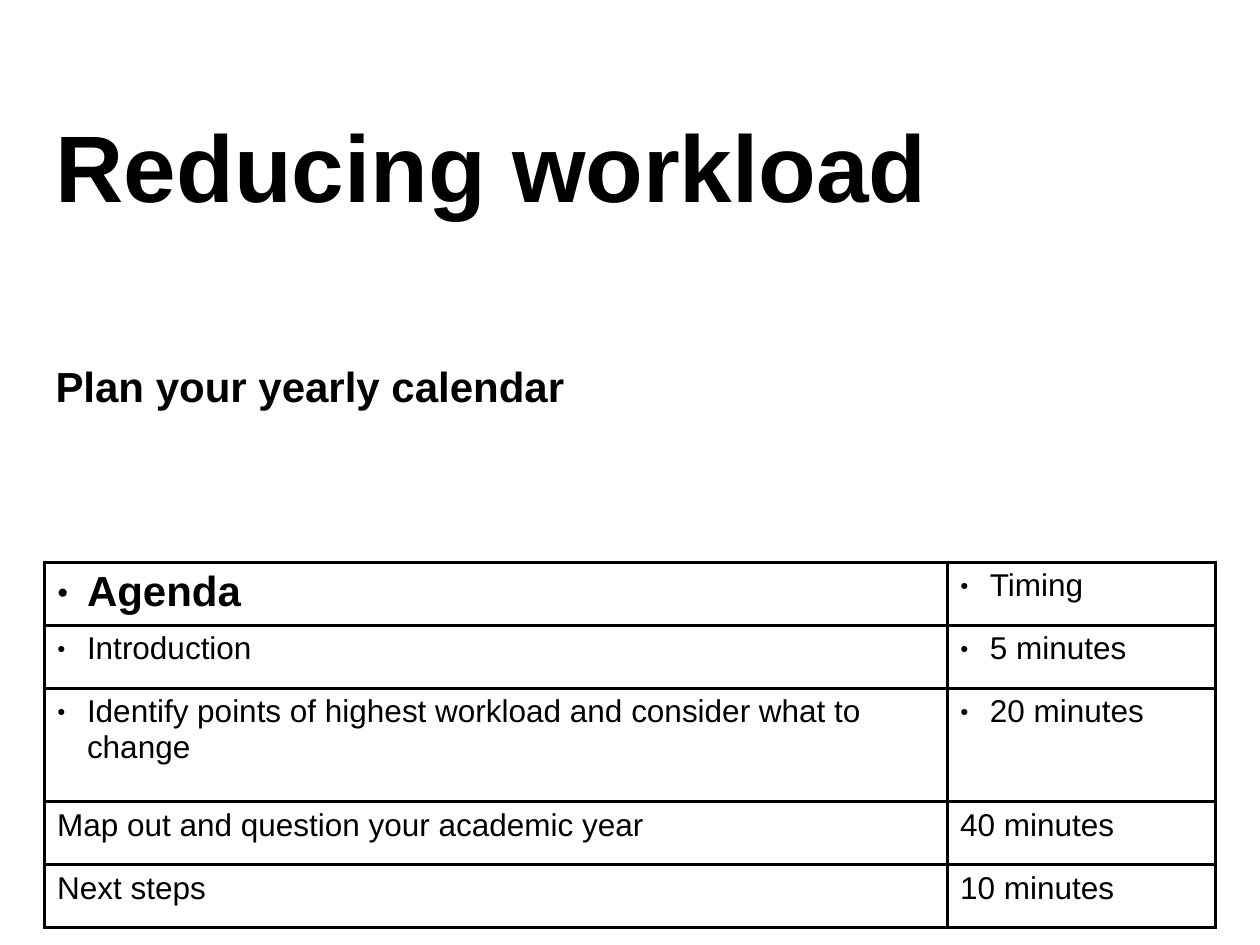
import pptx
import pptx.dml.color
import pptx.enum.text
import pptx.oxml
import pptx.oxml.ns
import pptx.util
from pptx.util import Cm

BLACK = pptx.dml.color.RGBColor(0x00, 0x00, 0x00)
WHITE = pptx.dml.color.RGBColor(0xFF, 0xFF, 0xFF)
NAMESPACE = pptx.oxml.ns.nsdecls("a")

LEFT = Cm(0.87)
COLUMN_WIDTHS = (Cm(18.2), Cm(5.4))
ROW_HEIGHTS = (Cm(1.27), Cm(1.27), Cm(2.29), Cm(1.27), Cm(1.27))
AGENDA = (
    ("Agenda", "Timing"),
    ("Introduction", "5 minutes"),
    ("Identify points of highest workload and consider what to change", "20 minutes"),
    ("Map out and question your academic year", "40 minutes"),
    ("Next steps", "10 minutes"),
)
BULLETED_ROWS = 3


class SlideBuilder:
    """Holds the text and line style and the slide being filled."""

    def __init__(self, slide, font_name="Arial", border_width=2):
        self.slide = slide
        self.font_name = font_name
        self.border_width = pptx.util.Pt(border_width)

    def set_text(self, text_frame, text, size, bold=False):
        text_frame.word_wrap = True
        paragraph = text_frame.paragraphs[0]
        paragraph.text = text
        paragraph.alignment = pptx.enum.text.PP_ALIGN.LEFT
        font = paragraph.font
        font.name = self.font_name
        font.size = pptx.util.Pt(size)
        font.bold = bold
        font.color.rgb = BLACK
        return paragraph

    def title(self, text, left, top, width, height):
        shape = self.slide.shapes.title
        shape.left, shape.top, shape.width, shape.height = left, top, width, height
        shape.text_frame.vertical_anchor = pptx.enum.text.MSO_ANCHOR.MIDDLE
        self.set_text(shape.text_frame, text, 54, bold=True)

    def subtitle(self, text, left, top, width, height):
        shape = self.slide.shapes.add_textbox(left, top, width, height)
        self.set_text(shape.text_frame, text, 24, bold=True)

    def bullet(self, paragraph):
        properties = paragraph._p.get_or_add_pPr()
        properties.set("marL", str(Cm(0.6)))
        properties.set("indent", str(-Cm(0.6)))
        marks = (
            f'<a:buClr {NAMESPACE}><a:srgbClr val="{BLACK}"/></a:buClr>',
            f'<a:buSzPct {NAMESPACE} val="45000"/>',
            f'<a:buFont {NAMESPACE} typeface="{self.font_name}"/>',
            f'<a:buChar {NAMESPACE} char="●"/>',
        )
        for position, mark in enumerate(marks):
            properties.insert(position, pptx.oxml.parse_xml(mark))

    def border(self, cell):
        properties = cell._tc.get_or_add_tcPr()
        for position, side in enumerate(("lnL", "lnR", "lnT", "lnB")):
            line = pptx.oxml.parse_xml(
                f'<a:{side} {NAMESPACE} w="{self.border_width}"><a:solidFill>'
                f'<a:srgbClr val="{BLACK}"/></a:solidFill></a:{side}>'
            )
            properties.insert(position, line)

    def agenda_table(self, rows, left, top):
        frame = self.slide.shapes.add_table(
            len(rows), len(COLUMN_WIDTHS), left, top, sum(COLUMN_WIDTHS), sum(ROW_HEIGHTS)
        )
        table = frame.table
        for column, width in zip(table.columns, COLUMN_WIDTHS):
            column.width = width
        for row, height in zip(table.rows, ROW_HEIGHTS):
            row.height = height
        for row_index, texts in enumerate(rows):
            for column_index, text in enumerate(texts):
                cell = table.cell(row_index, column_index)
                cell.fill.solid()
                cell.fill.fore_color.rgb = WHITE
                self.border(cell)
                heading = row_index == column_index == 0
                paragraph = self.set_text(cell.text_frame, text, 24 if heading else 18, heading)
                if row_index < BULLETED_ROWS:
                    self.bullet(paragraph)


def main():
    presentation = pptx.Presentation()
    presentation.slide_width = Cm(25.4)
    presentation.slide_height = Cm(19.05)
    builder = SlideBuilder(presentation.slides.add_slide(presentation.slide_layouts[5]))
    builder.title("Reducing workload", LEFT, Cm(1.32), Cm(22.86), Cm(3.99))
    builder.subtitle("Plan your yearly calendar", LEFT, Cm(7.14), Cm(23.6), Cm(1.27))
    builder.agenda_table(AGENDA, Cm(0.9), Cm(11.33))
    presentation.save("out.pptx")


if __name__ == "__main__":
    main()
